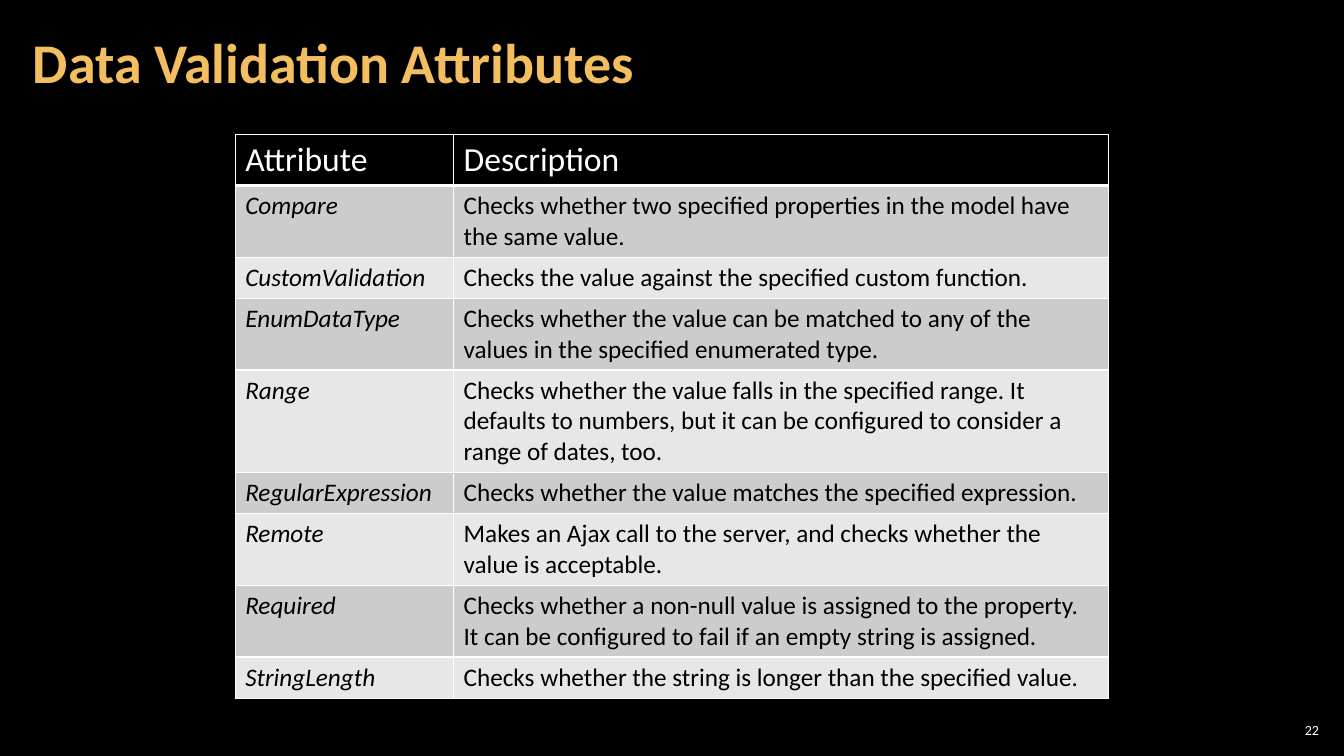
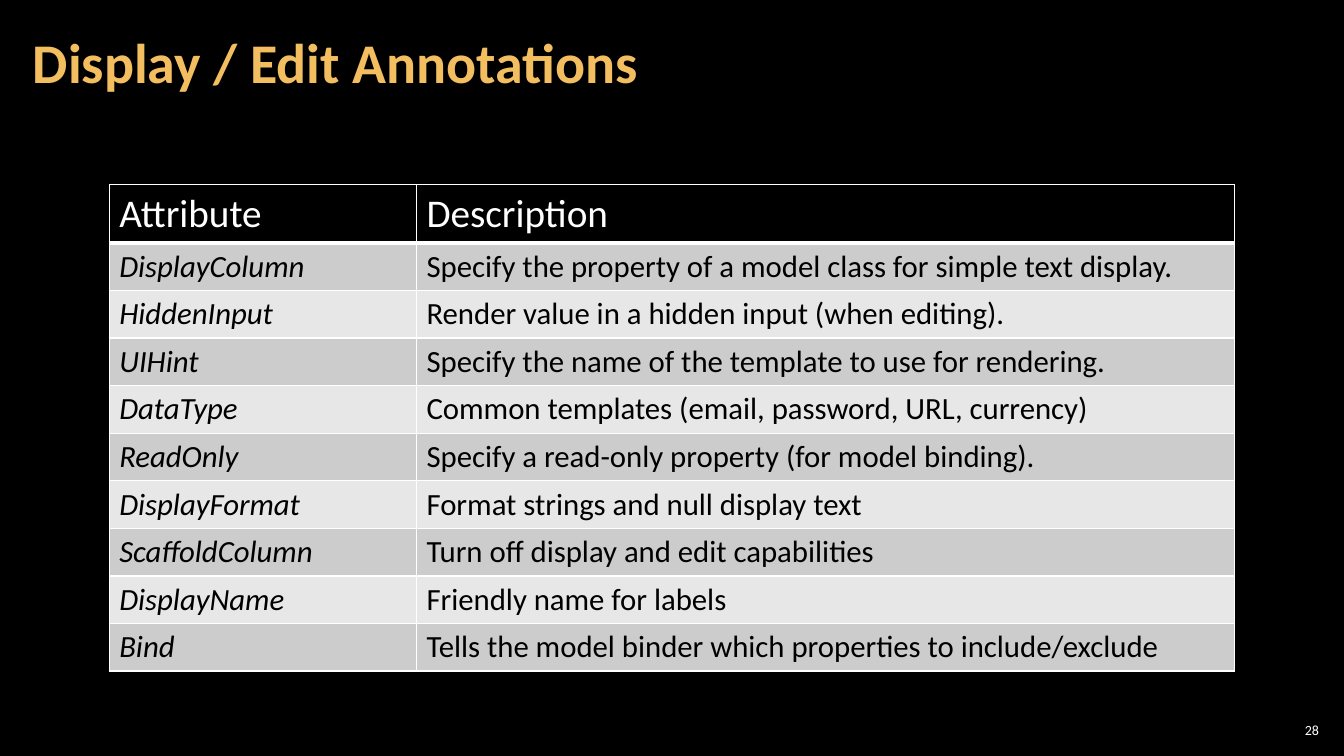
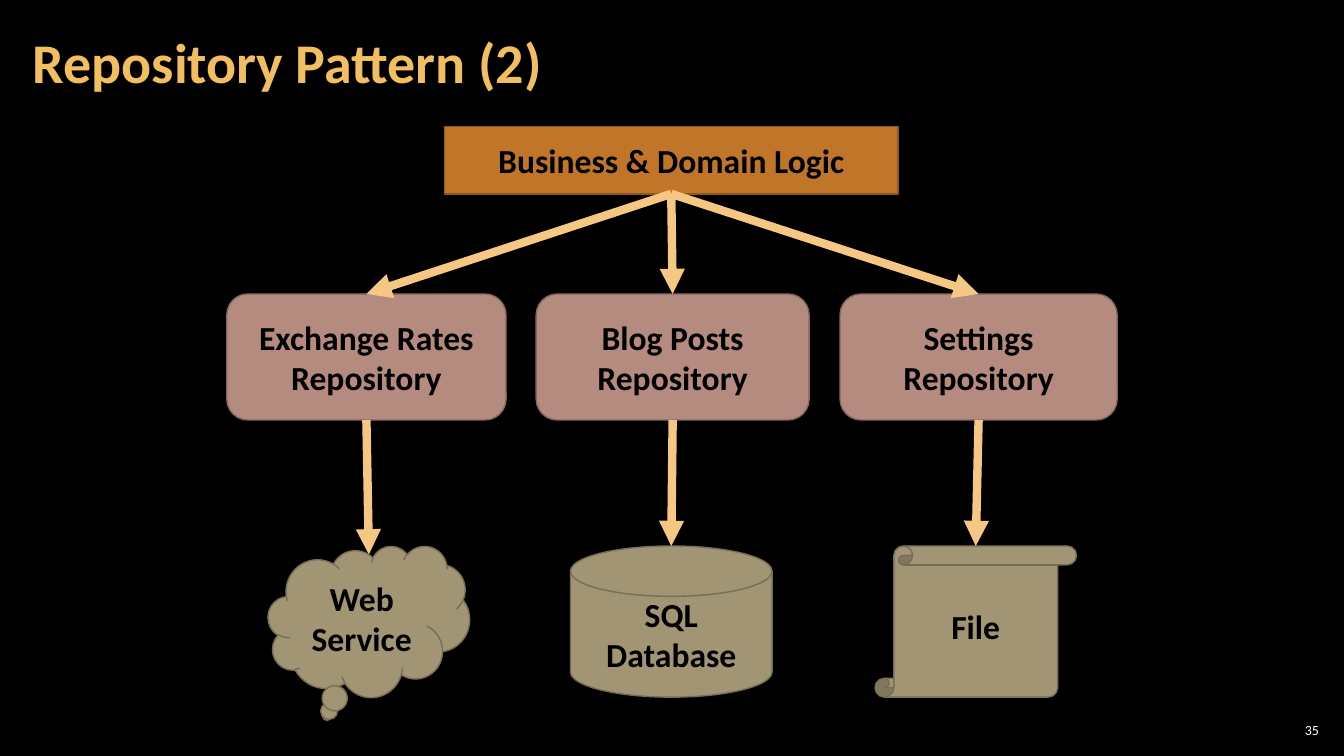
from dataclasses import dataclass

from lxml.etree import SubElement
from pptx import Presentation
from pptx.dml.color import RGBColor
from pptx.enum.shapes import MSO_CONNECTOR, MSO_SHAPE
from pptx.enum.text import MSO_ANCHOR, MSO_AUTO_SIZE, PP_ALIGN
from pptx.oxml.ns import qn
from pptx.shapes.autoshape import Shape
from pptx.slide import Slide
from pptx.table import _Cell
from pptx.text.text import TextFrame
from pptx.util import Pt

FONT = "Calibri"
COLORS = {
    "background": "000000",
    "title": "F3BE60",
    "light_text": "FFFFFF",
    "dark_text": "000000",
    "border": "FFFFFF",
    "header": "000000",
    "odd_row": "CCCCCC",
    "even_row": "E7E7E7",
    "logic": "C17529",
    "logic_line": "8F571E",
    "repository": "B58B80",
    "repository_line": "86675F",
    "storage": "A19574",
    "storage_line": "776E56",
    "arrow": "F6C782",
}
TITLE_ONLY = 5
TOP_SITE, BOTTOM_SITE = 0, 2
ROW_HEIGHT = 29.5


@dataclass(frozen=True)
class TextStyle:
    size: float
    color: str
    bold: bool = False
    italic: bool = False


@dataclass(frozen=True)
class AttributeTable:
    title: str
    number: int
    left: float
    top: float
    widths: tuple[float, float]
    header_size: float
    body_size: float
    rows: tuple[tuple[str, str], ...]


@dataclass(frozen=True)
class Node:
    text: str
    kind: MSO_SHAPE
    role: str
    left: float
    top: float
    width: float
    height: float


@dataclass(frozen=True)
class Branch:
    repository: Node
    storage: Node
    arrow_inset: float = 0


VALIDATION = AttributeTable(
    "Data Validation Attributes", 22, 168, 96, (156, 468), 24, 18,
    (
        ("Compare", "Checks whether two specified properties in the model have the same value."),
        ("CustomValidation", "Checks the value against the specified custom function."),
        ("EnumDataType", "Checks whether the value can be matched to any of the values "
                         "in the specified enumerated type."),
        ("Range", "Checks whether the value falls in the specified range. It defaults to "
                  "numbers, but it can be configured to consider a range of dates, too."),
        ("RegularExpression", "Checks whether the value matches the specified expression."),
        ("Remote", "Makes an Ajax call to the server, and checks whether the value is acceptable."),
        ("Required", "Checks whether a non-null value is assigned to the property. "
                     "It can be configured to fail if an empty string is assigned."),
        ("StringLength", "Checks whether the string is longer than the specified value."),
    ),
)

ANNOTATIONS = AttributeTable(
    "Display / Edit Annotations", 28, 78, 132, (219.5, 584.5), 28, 22,
    (
        ("DisplayColumn", "Specify the property of a model class for simple text display."),
        ("HiddenInput", "Render value in a hidden input (when editing)."),
        ("UIHint", "Specify the name of the template to use for rendering."),
        ("DataType", "Common templates (email, password, URL, currency)"),
        ("ReadOnly", "Specify a read-only property (for model binding)."),
        ("DisplayFormat", "Format strings and null display text"),
        ("ScaffoldColumn", "Turn off display and edit capabilities"),
        ("DisplayName", "Friendly name for labels"),
        ("Bind", "Tells the model binder which properties to include/exclude"),
    ),
)


def repository(text: str, left: float, width: float) -> Node:
    return Node(text, MSO_SHAPE.ROUNDED_RECTANGLE, "repository", left, 210, width, 90)


def storage(text: str, kind: MSO_SHAPE, left: float) -> Node:
    return Node(text, kind, "storage", left, 390, 144, 108)


LOGIC = Node("Business & Domain Logic", MSO_SHAPE.RECTANGLE, "logic", 317.5, 90.5, 324, 48)
BRANCHES = (
    Branch(repository("Exchange Rates Repository", 162, 199.5),
           storage("Web Service", MSO_SHAPE.CLOUD_CALLOUT, 191.5), 6),
    Branch(repository("Blog Posts Repository", 383, 195),
           storage("SQL Database", MSO_SHAPE.FLOWCHART_MAGNETIC_DISK, 407.5)),
    Branch(repository("Settings Repository", 600, 198),
           storage("File", MSO_SHAPE.VERTICAL_SCROLL, 625)),
)


def rgb(name: str) -> RGBColor:
    return RGBColor.from_string(COLORS[name])


def write(frame: TextFrame, text: str, style: TextStyle,
          alignment: PP_ALIGN = PP_ALIGN.LEFT) -> None:
    paragraph = frame.paragraphs[0]
    paragraph.alignment = alignment
    run = paragraph.add_run()
    run.text = text
    font = run.font
    font.name = FONT
    font.size = Pt(style.size)
    font.bold = style.bold
    font.italic = style.italic
    font.color.rgb = rgb(style.color)


def set_frame(frame: TextFrame, side: float, vertical: float) -> None:
    frame.word_wrap = True
    frame.auto_size = MSO_AUTO_SIZE.NONE
    frame.vertical_anchor = MSO_ANCHOR.MIDDLE
    frame.margin_left = frame.margin_right = Pt(side)
    frame.margin_top = frame.margin_bottom = Pt(vertical)


def add_titled_slide(presentation: Presentation, title: str, number: int) -> Slide:
    slide = presentation.slides.add_slide(presentation.slide_layouts[TITLE_ONLY])
    heading = slide.shapes.title
    heading.left, heading.top, heading.width, heading.height = Pt(15), Pt(3), Pt(754), Pt(87)
    set_frame(heading.text_frame, 8.5, 2.8)
    write(heading.text_frame, title, TextStyle(40, "title", bold=True))
    heading.text_frame.paragraphs[0].line_spacing = 0.9
    number_box = slide.shapes.add_textbox(Pt(911), Pt(514), Pt(34), Pt(15))
    set_frame(number_box.text_frame, 2.8, 2.8)
    write(number_box.text_frame, str(number), TextStyle(10, "light_text"), PP_ALIGN.RIGHT)
    return slide


def set_borders(cell: _Cell, bottom_width: float) -> None:
    properties = cell._tc.get_or_add_tcPr()
    for side, width in (("L", 1), ("R", 1), ("T", 1), ("B", bottom_width)):
        line = SubElement(properties, qn(f"a:ln{side}"), w=str(Pt(width)))
        fill = SubElement(line, qn("a:solidFill"))
        SubElement(fill, qn("a:srgbClr"), val=COLORS["border"])


def fill_cell(cell: _Cell, text: str, fill: str, style: TextStyle, bottom_width: float) -> None:
    set_borders(cell, bottom_width)
    cell.fill.solid()
    cell.fill.fore_color.rgb = rgb(fill)
    write(cell.text_frame, text, style)


def add_attribute_slide(presentation: Presentation, content: AttributeTable) -> None:
    slide = add_titled_slide(presentation, content.title, content.number)
    row_count = len(content.rows) + 1
    table = slide.shapes.add_table(
        row_count, len(content.widths), Pt(content.left), Pt(content.top),
        Pt(sum(content.widths)), Pt(ROW_HEIGHT * row_count)).table
    table.horz_banding = False
    for column, width in zip(table.columns, content.widths):
        column.width = Pt(width)
    header_style = TextStyle(content.header_size, "light_text")
    for column_index, text in enumerate(("Attribute", "Description")):
        fill_cell(table.cell(0, column_index), text, "header", header_style, 3)
    for row_index, row in enumerate(content.rows, start=1):
        fill = "odd_row" if row_index % 2 else "even_row"
        for column_index, text in enumerate(row):
            style = TextStyle(content.body_size, "dark_text", italic=column_index == 0)
            fill_cell(table.cell(row_index, column_index), text, fill, style, 1)


def add_node(slide: Slide, node: Node) -> Shape:
    shape = slide.shapes.add_shape(
        node.kind, Pt(node.left), Pt(node.top), Pt(node.width), Pt(node.height))
    shape.shadow.inherit = False
    shape.fill.solid()
    shape.fill.fore_color.rgb = rgb(node.role)
    shape.line.color.rgb = rgb(f"{node.role}_line")
    shape.line.width = Pt(1)
    set_frame(shape.text_frame, 7.2, 3.6)
    write(shape.text_frame, node.text, TextStyle(24, "dark_text", bold=True), PP_ALIGN.CENTER)
    return shape


def add_arrow(slide: Slide, source: Shape, target: Shape,
              inset: float = 0, glue_end: bool = False) -> None:
    connector = slide.shapes.add_connector(
        MSO_CONNECTOR.STRAIGHT,
        source.left + source.width // 2, source.top + source.height,
        target.left + target.width // 2, target.top + Pt(inset))
    connector.begin_connect(source, BOTTOM_SITE)
    if glue_end:
        connector.end_connect(target, TOP_SITE)
    connector.line.color.rgb = rgb("arrow")
    connector.line.width = Pt(6)
    SubElement(connector.line._get_or_add_ln(), qn("a:tailEnd"), type="triangle")
    SubElement(connector._element.spPr, qn("a:effectLst"))


def add_repository_slide(presentation: Presentation) -> None:
    slide = add_titled_slide(presentation, "Repository Pattern (2)", 35)
    logic = add_node(slide, LOGIC)
    for branch in BRANCHES:
        repository_shape = add_node(slide, branch.repository)
        storage_shape = add_node(slide, branch.storage)
        add_arrow(slide, logic, repository_shape, glue_end=True)
        add_arrow(slide, repository_shape, storage_shape, branch.arrow_inset)


def main() -> None:
    presentation = Presentation()
    presentation.slide_width, presentation.slide_height = Pt(960), Pt(540)
    background = presentation.slide_master.background.fill
    background.solid()
    background.fore_color.rgb = rgb("background")
    for content in (VALIDATION, ANNOTATIONS):
        add_attribute_slide(presentation, content)
    add_repository_slide(presentation)
    presentation.save("out.pptx")


if __name__ == "__main__":
    main()
